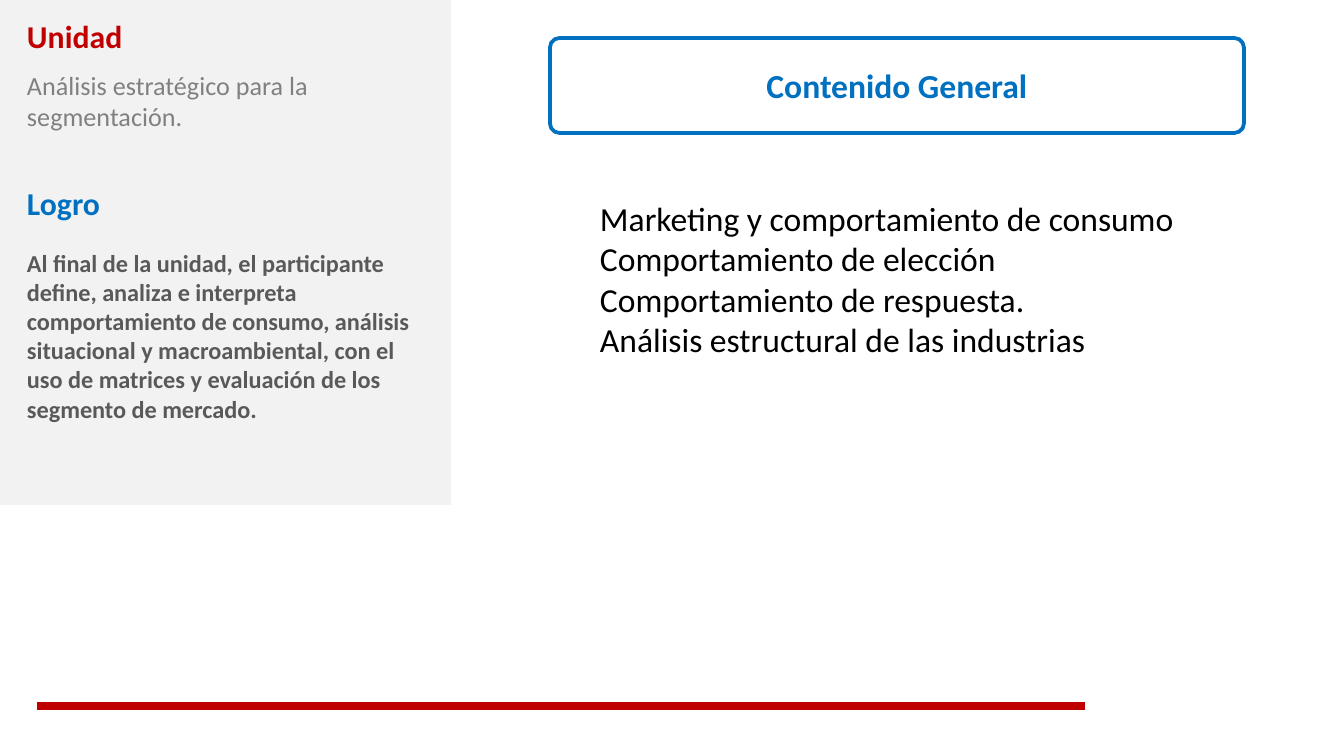
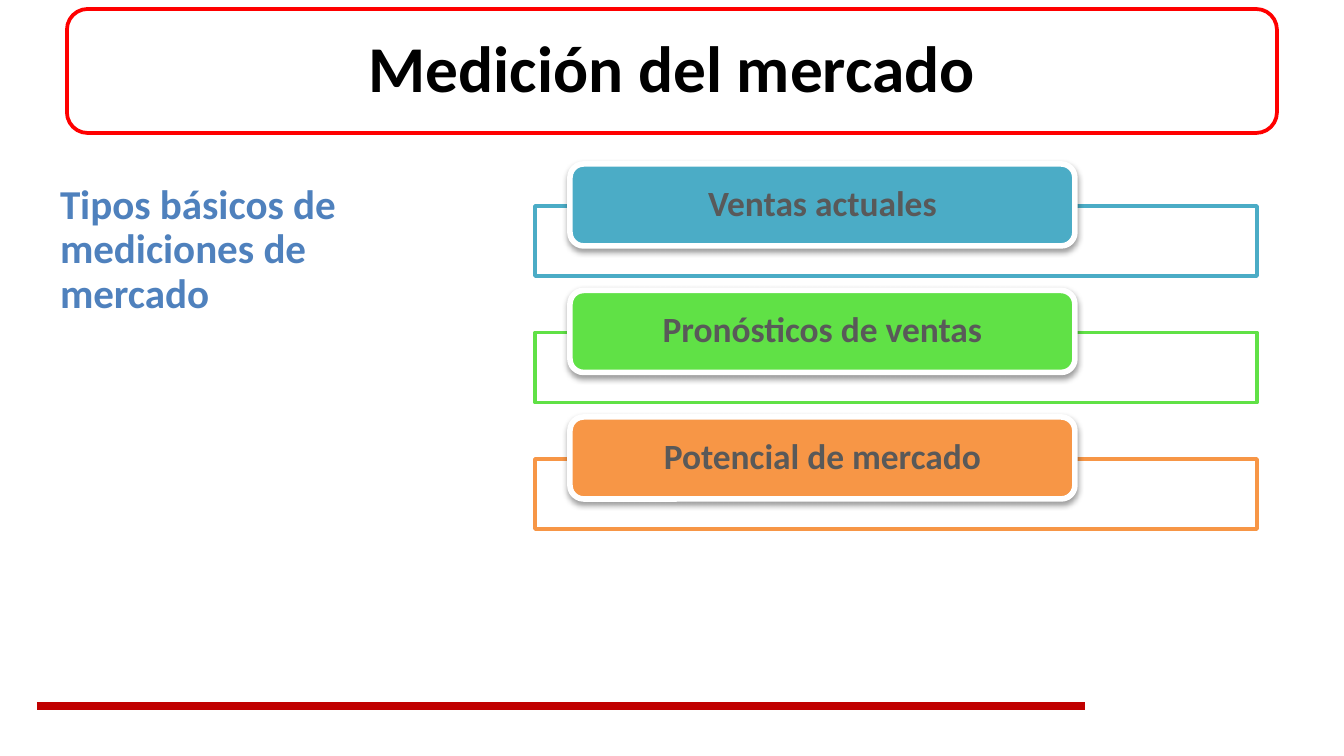
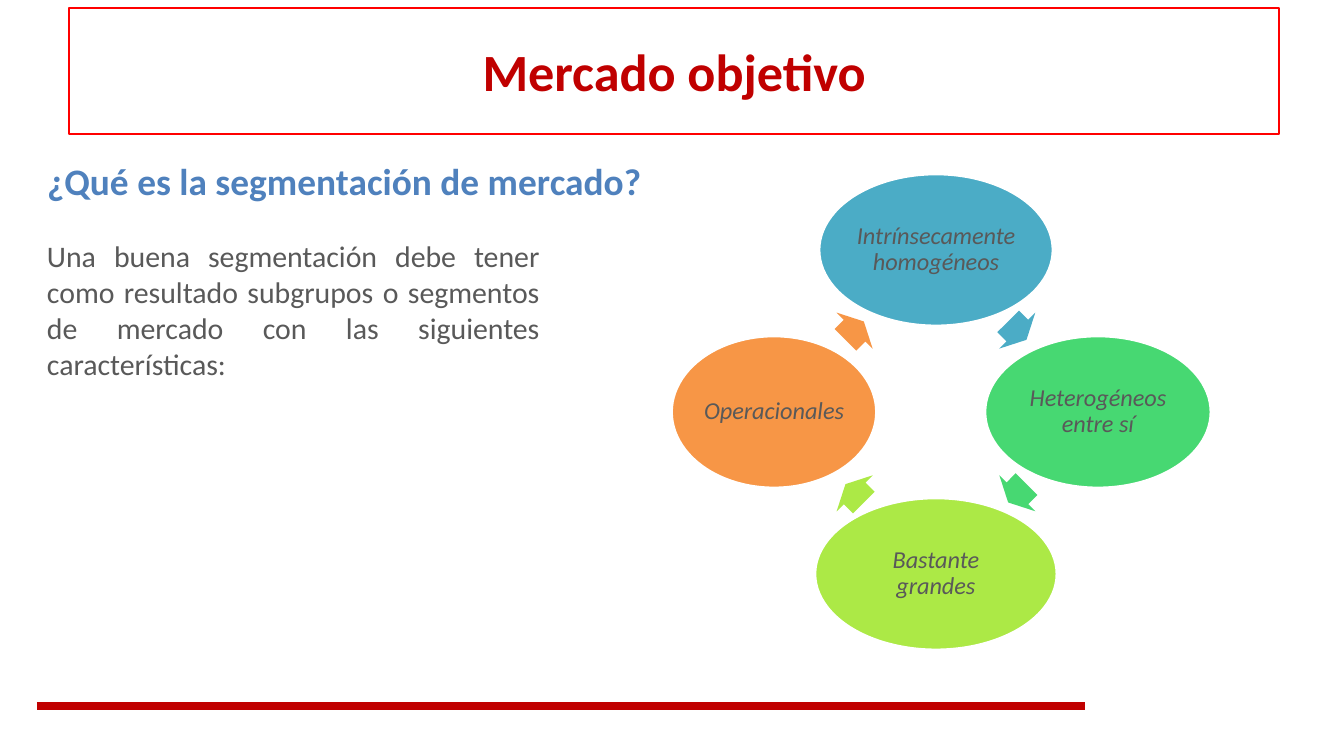
import math
from dataclasses import dataclass

from lxml import etree
from pptx import Presentation
from pptx import util as u
from pptx.dml.color import RGBColor
from pptx.enum import shapes, text
from pptx.oxml.ns import qn

EMU_PER_PX = 914400 / 134.4
SHAPE = shapes.MSO_SHAPE
LEFT = text.PP_ALIGN.LEFT
CENTER = text.PP_ALIGN.CENTER
JUSTIFY = text.PP_ALIGN.JUSTIFY
TOP = text.MSO_ANCHOR.TOP
MIDDLE = text.MSO_ANCHOR.MIDDLE
BOTTOM = text.MSO_ANCHOR.BOTTOM


@dataclass(frozen=True)
class Theme:
    font: str = "Calibri"
    white: str = "FFFFFF"
    black: str = "000000"
    panel: str = "F2F2F2"
    body: str = "595959"
    muted: str = "808080"
    dark_red: str = "C00000"
    red: str = "FF0000"
    blue: str = "0070C0"
    heading: str = "4F81BD"
    teal: str = "4BACC6"
    green: str = "60E146"
    mint: str = "47D872"
    lime: str = "ACE946"
    orange: str = "F79646"
    small: int = 13
    unit: int = 14
    paragraph: int = 16
    label: int = 17
    content: int = 18
    bar: int = 19
    question: int = 20
    subtitle: int = 22
    title: int = 28
    big_title: int = 35


THEME = Theme()


def px(value):
    return u.Emu(round(value * EMU_PER_PX))


def rgb(color):
    return RGBColor.from_string(color)


def write(shape, paragraphs, size, color, bold=False, italic=False, align=LEFT,
          anchor=TOP, insets=(13, 7), spacing=1.0):
    frame = shape.text_frame
    frame.word_wrap = True
    frame.auto_size = text.MSO_AUTO_SIZE.NONE
    frame.vertical_anchor = anchor
    frame.margin_left = frame.margin_right = px(insets[0])
    frame.margin_top = frame.margin_bottom = px(insets[1])
    for index, content in enumerate(paragraphs):
        paragraph = frame.add_paragraph() if index else frame.paragraphs[0]
        paragraph.alignment = align
        paragraph.line_spacing = spacing
        run = paragraph.add_run()
        run.text = content
        font = run.font
        font.name = THEME.font
        font.size = u.Pt(size)
        font.bold = bold
        font.italic = italic
        font.color.rgb = rgb(color)


def add_shape(slide, kind, box, fill=None, line=None, width=2):
    shape = slide.shapes.add_shape(kind, *map(px, box))
    shape.shadow.inherit = False
    if fill:
        shape.fill.solid()
        shape.fill.fore_color.rgb = rgb(fill)
    else:
        shape.fill.background()
    if line:
        shape.line.color.rgb = rgb(line)
        shape.line.width = u.Pt(width)
    else:
        shape.line.fill.background()
    return shape


def add_text(slide, box, paragraphs, size, color, **style):
    write(slide.shapes.add_textbox(*map(px, box)), paragraphs, size, color, **style)


def add_drop_shadow(shape):
    effects = shape._element.spPr.find(qn("a:effectLst"))
    shadow = etree.SubElement(effects, qn("a:outerShdw"), blurRad="40000",
                              dist="20000", dir="5400000", rotWithShape="0")
    color = etree.SubElement(shadow, qn("a:srgbClr"), val=THEME.black)
    etree.SubElement(color, qn("a:alpha"), val="38000")


def add_footer_line(slide):
    line = slide.shapes.add_connector(shapes.MSO_CONNECTOR.STRAIGHT,
                                      px(37), px(706), px(1085), px(706))
    line.line.color.rgb = rgb(THEME.dark_red)
    line.line.width = u.Pt(4.5)
    etree.SubElement(line._element.spPr, qn("a:effectLst"))


def add_slide(presentation):
    slide = presentation.slides.add_slide(presentation.slide_layouts[5])
    add_footer_line(slide)
    return slide


def add_title(slide, content, box, size, color, frame_kind, frame_color, width=2, spacing=1.0):
    title = slide.shapes.title
    title.left, title.top, title.width, title.height = map(px, box)
    write(title, [content], size, color, bold=True, align=CENTER, anchor=MIDDLE, spacing=spacing)
    return add_shape(slide, frame_kind, box, line=frame_color, width=width)


def add_panel(slide, top, height, content, size, color, bold=True, anchor=TOP):
    panel = add_shape(slide, SHAPE.RECTANGLE, (0, top, 451, height), THEME.panel)
    write(panel, [content], size, color, bold=bold, anchor=anchor, insets=(27, 7))


def add_measure(slide, top, label, color):
    add_shape(slide, SHAPE.RECTANGLE, (535, top + 42, 722, 70), THEME.white, color)
    bar = add_shape(slide, SHAPE.ROUNDED_RECTANGLE, (570, top, 505, 82), color, THEME.white, 3)
    add_drop_shadow(bar)
    write(bar, [label], THEME.bar, THEME.body, bold=True, align=CENTER, anchor=MIDDLE,
          insets=(19, 0), spacing=0.9)


def add_cycle(slide, center, radius, steps):
    center_x, center_y = center
    height, arrow_width, arrow_height, arrow_radius = 153, 26, 51, 115
    for index, (label, width, color) in enumerate(steps):
        angle = math.radians(90 * index - 90)
        x = center_x + radius * math.cos(angle)
        y = center_y + radius * math.sin(angle)
        ellipse = add_shape(slide, SHAPE.OVAL, (x - width / 2, y - height / 2, width, height),
                            color, THEME.white)
        write(ellipse, [label], THEME.small, THEME.body, italic=True, align=CENTER,
              anchor=MIDDLE, insets=(2, 2), spacing=0.9)
        angle += math.radians(45)
        x = center_x + arrow_radius * math.cos(angle)
        y = center_y + arrow_radius * math.sin(angle)
        arrow = add_shape(slide, SHAPE.RIGHT_ARROW,
                          (x - arrow_width / 2, y - arrow_height / 2, arrow_width, arrow_height),
                          color)
        arrow.adjustments[0] = 0.6
        arrow.adjustments[1] = 0.5
        arrow.rotation = 45 + 90 * index


def build_contents(presentation):
    slide = add_slide(presentation)
    add_panel(slide, 241, 264,
              "Al final de la unidad, el participante define, analiza e interpreta "
              "comportamiento de consumo, análisis situacional y macroambiental, con el uso "
              "de matrices y evaluación de los segmento de mercado.", THEME.small, THEME.body)
    add_panel(slide, 0, 62, "Unidad", THEME.label, THEME.dark_red, anchor=BOTTOM)
    add_panel(slide, 62, 189, "Análisis estratégico para la segmentación.",
              THEME.unit, THEME.muted, bold=False)
    add_panel(slide, 177, 42, "Logro", THEME.label, THEME.blue)
    frame = add_title(slide, "Contenido General", (550, 38, 694, 95), THEME.content,
                      THEME.blue, SHAPE.ROUNDED_RECTANGLE, THEME.blue)
    frame.adjustments[0] = 0.1
    add_text(slide, (587, 191, 672, 176),
             ["Marketing y comportamiento de consumo Comportamiento de elección",
              "Comportamiento de respuesta.",
              "Análisis estructural de las industrias"], THEME.content, THEME.black)


def build_measurement(presentation):
    slide = add_slide(presentation)
    add_title(slide, "Medición del mercado", (67, 9, 1210, 124), THEME.big_title,
              THEME.black, SHAPE.ROUNDED_RECTANGLE, THEME.red, spacing=0.9)
    measures = [("Ventas actuales", THEME.teal),
                ("Pronósticos de ventas", THEME.green),
                ("Potencial de mercado", THEME.orange)]
    for index, (label, color) in enumerate(measures):
        add_measure(slide, 164 + 126.5 * index, label, color)
    add_text(slide, (47, 177, 402, 148), ["Tipos básicos de mediciones de mercado"],
             THEME.subtitle, THEME.heading, bold=True, spacing=0.9)


def build_target_market(presentation):
    slide = add_slide(presentation)
    add_title(slide, "Mercado objetivo", (69, 8, 1210, 126), THEME.title,
              THEME.dark_red, SHAPE.RECTANGLE, THEME.red, width=0.75)
    add_text(slide, (34, 151, 638, 59), ["¿Qué es la segmentación de mercado?"],
             THEME.question, THEME.heading, bold=True)
    add_text(slide, (34, 231, 519, 265),
             ["Una buena segmentación debe tener como resultado subgrupos o segmentos "
              "de mercado con las siguientes características:"],
             THEME.paragraph, THEME.body, align=JUSTIFY)
    add_cycle(slide, (936, 412), 162,
              [("Intrínsecamente homogéneos", 235, THEME.teal),
               ("Heterogéneos entre sí", 227, THEME.mint),
               ("Bastante grandes", 243, THEME.lime),
               ("Operacionales", 206, THEME.orange)])


def main():
    presentation = Presentation()
    presentation.slide_width = px(1344)
    presentation.slide_height = px(756)
    build_contents(presentation)
    build_measurement(presentation)
    build_target_market(presentation)
    presentation.save("out.pptx")


if __name__ == "__main__":
    main()
